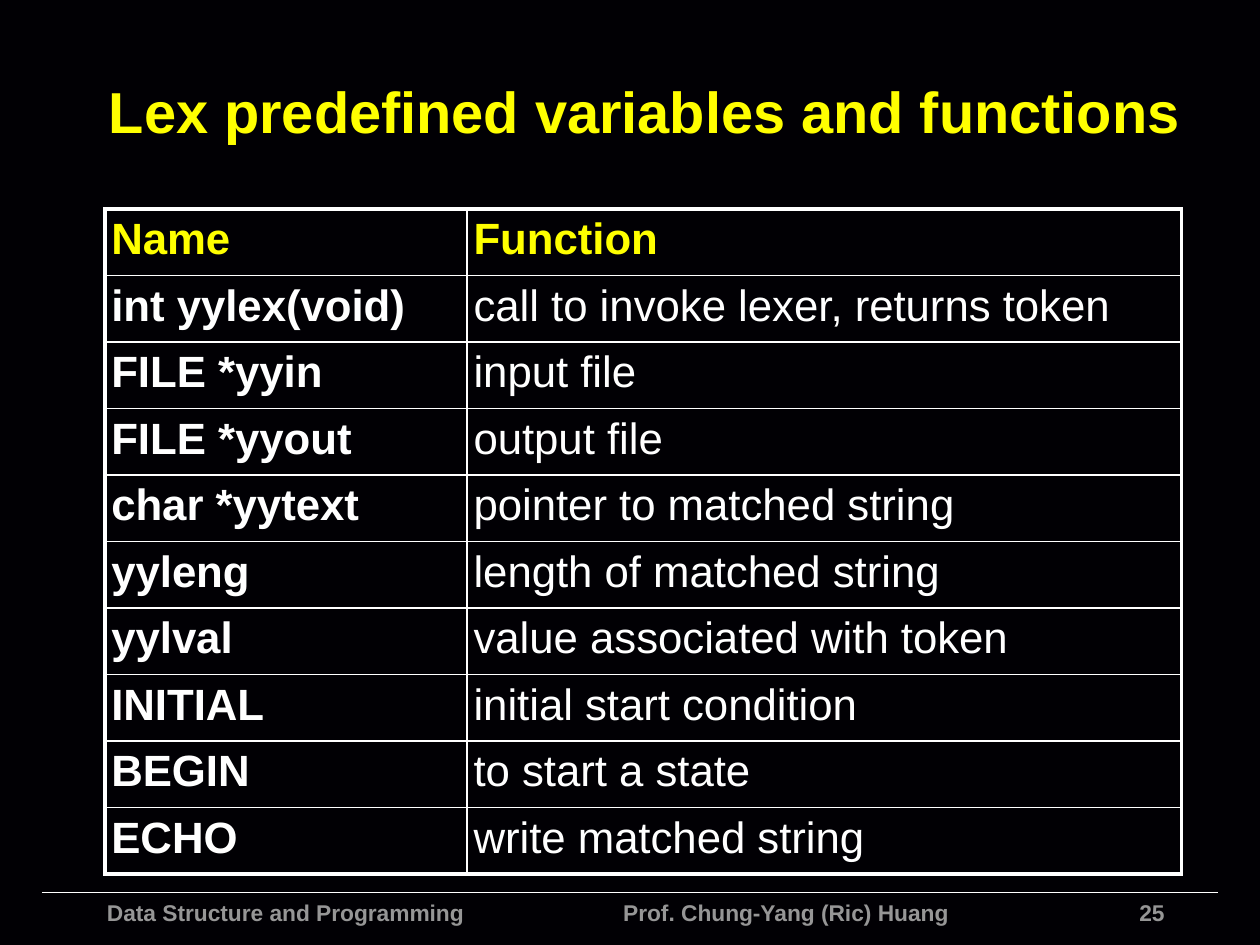
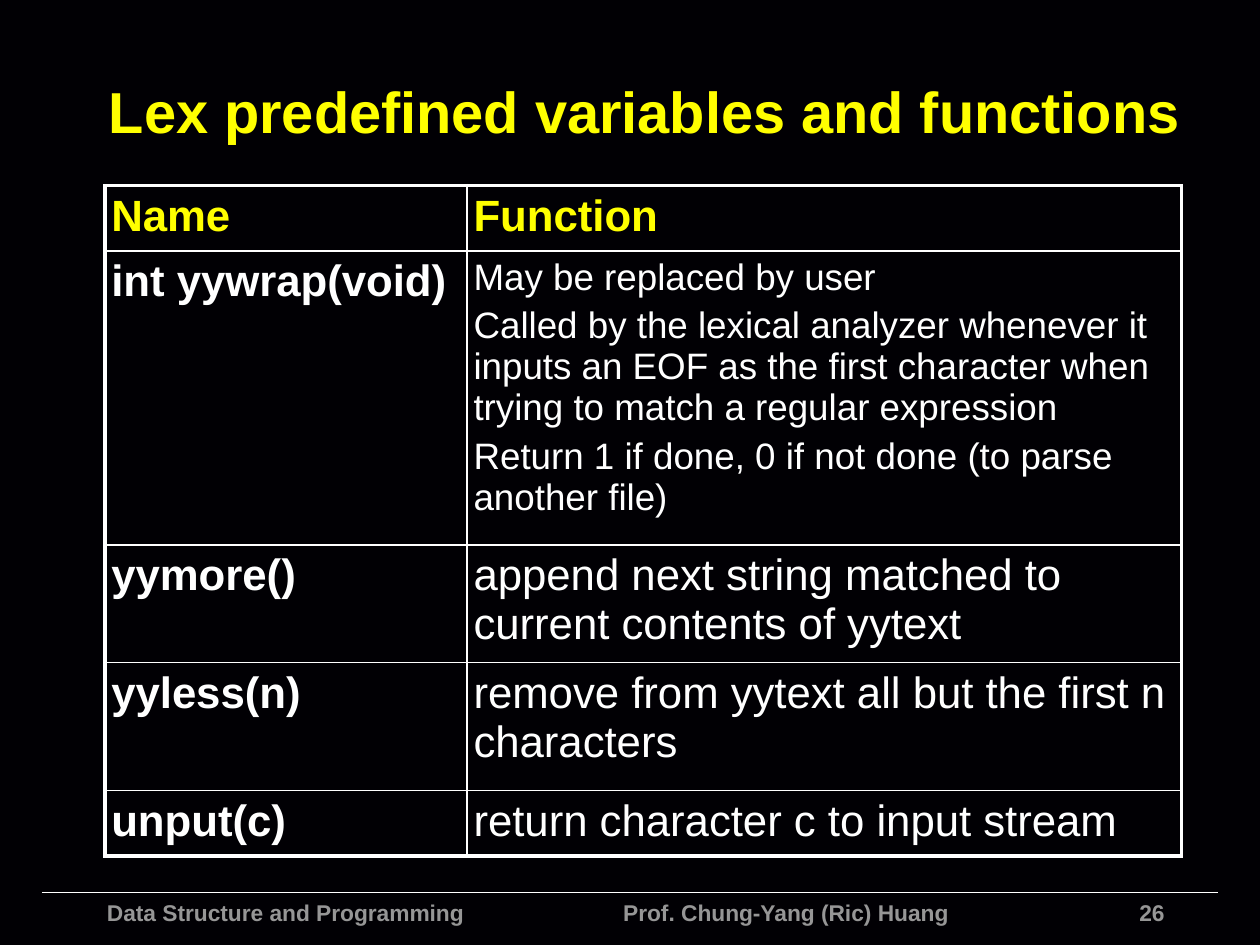
from dataclasses import dataclass

from lxml.etree import SubElement
from pptx import Presentation
from pptx.dml.color import RGBColor as RGB
from pptx.enum.shapes import MSO_CONNECTOR as Connector
from pptx.enum.text import MSO_ANCHOR as Anchor, MSO_AUTO_SIZE as AutoSize, PP_ALIGN as Align
from pptx.oxml.ns import qn
from pptx.util import Pt


@dataclass(frozen=True)
class Theme:
    """Colours, font, type sizes and line widths of the deck."""
    background: RGB = RGB(0x01, 0x00, 0x04)
    accent: RGB = RGB(0xFF, 0xFF, 0x00)
    text: RGB = RGB(0xFF, 0xFF, 0xFF)
    muted: RGB = RGB(0x96, 0x96, 0x96)
    font: str = "Arial"
    title_size: float = 33
    cell_size: float = 25
    detail_size: float = 21
    footer_size: float = 13
    frame_width: float = 2.25
    rule_width: float = 1


THEME = Theme()

# Boxes are left, top, width, height in points.
TITLE_BOX = (55, 26.5, 636, 73)
FOOTER_BOX = (54, 510, 618.5, 30)
FOOTER_RULE = (24, 696)
AUTHOR_TAB = 295
COLUMN_WIDTHS = (207, 408)
CELL_MARGIN = 3.6

TITLE = "Lex predefined variables and functions"
COURSE = "Data Structure and Programming"
AUTHOR = "Prof. Chung-Yang (Ric) Huang"
HEADINGS = ("Name", "Function")

BASIC_ENTRIES = [
    ("int yylex(void)", "call to invoke lexer, returns token"),
    ("FILE *yyin", "input file"),
    ("FILE *yyout", "output file"),
    ("char *yytext", "pointer to matched string"),
    ("yyleng", "length of matched string"),
    ("yylval", "value associated with token"),
    ("INITIAL", "initial start condition"),
    ("BEGIN", "to start a state"),
    ("ECHO", "write matched string"),
]
ROUTINE_ENTRIES = [
    ("int yywrap(void)",
     "May be replaced by user\n"
     "Called by the lexical analyzer whenever it inputs an EOF as the first "
     "character when trying to match a regular expression\n"
     "Return 1 if done, 0 if not done (to parse another file)"),
    ("yymore()", "append next string matched to current contents of yytext"),
    ("yyless(n)", "remove from yytext all but the first n characters"),
    ("unput(c)", "return character c to input stream"),
]


def write(frame, text, size, color, bold=True, align=Align.LEFT, spacing=0):
    """Fill a text frame; spacing is the share of the size kept above paragraphs."""
    frame.text = text
    frame.word_wrap = True
    for paragraph in frame.paragraphs:
        paragraph.alignment = align
        paragraph.space_before = Pt(size * spacing)
        for run in paragraph.runs:
            run.font.name = THEME.font
            run.font.size = Pt(size)
            run.font.bold = bold
            run.font.color.rgb = color


def place_title(slide, box):
    """Move and format the title placeholder."""
    title = slide.shapes.title
    title.left, title.top, title.width, title.height = map(Pt, box)
    write(title.text_frame, TITLE, THEME.title_size, THEME.accent)
    title.text_frame.auto_size = AutoSize.NONE
    title.text_frame.vertical_anchor = Anchor.MIDDLE


def place_footer(slide, box, page):
    """Draw the footer rule, the course and author line, and the page number."""
    left, top, width, height = box
    start, end = FOOTER_RULE
    rule = slide.shapes.add_connector(
        Connector.STRAIGHT, Pt(start), Pt(top), Pt(end), Pt(top))
    rule.line.color.rgb = THEME.text
    rule.line.width = Pt(THEME.rule_width)
    SubElement(rule.line._get_or_add_ln().getparent(), qn("a:effectLst"))

    number_width = 60
    credit = slide.shapes.add_textbox(
        Pt(left), Pt(top), Pt(width - number_width), Pt(height)).text_frame
    write(credit, f"{COURSE}\t{AUTHOR}", THEME.footer_size, THEME.muted)
    tabs = SubElement(credit.paragraphs[0]._p.get_or_add_pPr(), qn("a:tabLst"))
    SubElement(tabs, qn("a:tab"), pos=str(Pt(AUTHOR_TAB)), algn="l")

    number = slide.shapes.add_textbox(
        Pt(left + width - number_width), Pt(top), Pt(number_width), Pt(height))
    write(number.text_frame, str(page), THEME.footer_size, THEME.muted,
          align=Align.RIGHT)


def border_cell(cell, outer_sides):
    """Rule all four sides of a cell, with a heavier line on the outer ones."""
    properties = cell._tc.get_or_add_tcPr()
    for side in "LRTB":
        width = THEME.frame_width if side in outer_sides else THEME.rule_width
        line = SubElement(properties, qn(f"a:ln{side}"), w=str(Pt(width)))
        fill = SubElement(line, qn("a:solidFill"))
        SubElement(fill, qn("a:srgbClr"), val=str(THEME.text))
    cell.fill.background()


def place_reference(slide, left, top, entries, row_heights):
    """Build the table of names and functions, headings first."""
    rows = [HEADINGS, *entries]
    last_row, last_column = len(rows) - 1, len(HEADINGS) - 1
    reference = slide.shapes.add_table(
        len(rows), len(HEADINGS), Pt(left), Pt(top),
        Pt(sum(COLUMN_WIDTHS)), Pt(sum(row_heights))).table
    reference.first_row = reference.horz_banding = False
    for column, width in zip(reference.columns, COLUMN_WIDTHS):
        column.width = Pt(width)
    for r, (entry, height) in enumerate(zip(rows, row_heights)):
        reference.rows[r].height = Pt(height)
        for c, text in enumerate(entry):
            cell = reference.cell(r, c)
            cell.margin_left = cell.margin_right = Pt(CELL_MARGIN)
            cell.margin_top = cell.margin_bottom = Pt(CELL_MARGIN)
            cell.vertical_anchor = Anchor.TOP
            write(cell.text_frame, text,
                  THEME.detail_size if "\n" in text else THEME.cell_size,
                  THEME.accent if r == 0 else THEME.text,
                  bold=r == 0 or c == 0, spacing=0.2)
            edges = {"L": c == 0, "R": c == last_column,
                     "T": r == 0, "B": r == last_row}
            border_cell(cell, [side for side, outer in edges.items() if outer])


def add_reference_slide(deck, page, top, entries, row_heights):
    """Add a slide with title, reference table and footer."""
    slide = deck.slides.add_slide(deck.slide_layouts.get_by_name("Title Only"))
    place_footer(slide, FOOTER_BOX, page)
    place_title(slide, TITLE_BOX)
    place_reference(slide, 60, top, entries, row_heights)


def main():
    """Build and save the deck."""
    deck = Presentation()
    deck.slide_width, deck.slide_height = Pt(720), Pt(540)
    backdrop = deck.slide_master.background.fill
    backdrop.solid()
    backdrop.fore_color.rgb = THEME.background
    add_reference_slide(deck, 25, 119.5, BASIC_ENTRIES,
                        [38] * (len(BASIC_ENTRIES) + 1))
    add_reference_slide(deck, 26, 106, ROUTINE_ENTRIES,
                        [37.5, 168, 67, 73, 37.5])
    deck.save("out.pptx")


main()
